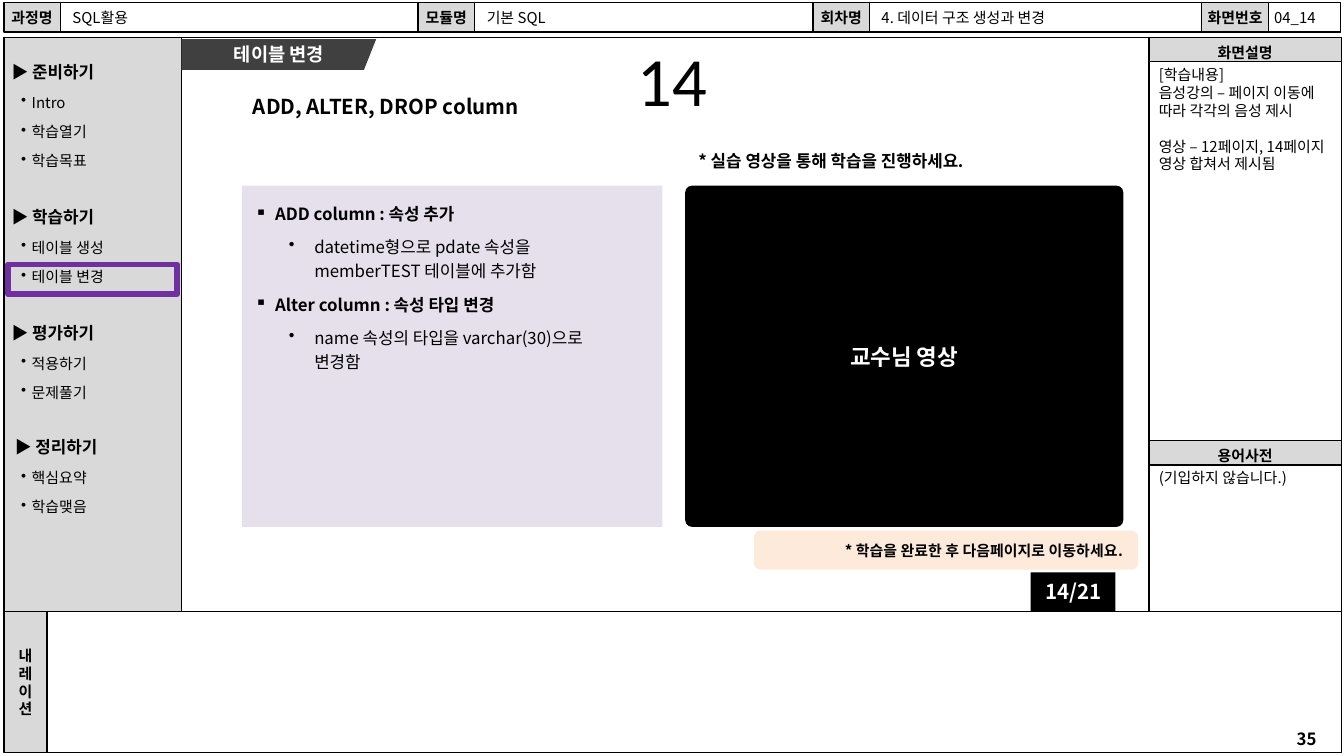
from dataclasses import dataclass

from lxml import etree
from pptx import Presentation
from pptx.dml.color import RGBColor
from pptx.enum.shapes import MSO_SHAPE
from pptx.enum.text import MSO_ANCHOR, PP_ALIGN
from pptx.oxml.ns import qn
from pptx.util import Cm, Pt

RECT, ROUND = MSO_SHAPE.RECTANGLE, MSO_SHAPE.ROUNDED_RECTANGLE
TOP, MIDDLE = MSO_ANCHOR.TOP, MSO_ANCHOR.MIDDLE
LEFT, CENTER, RIGHT = PP_ALIGN.LEFT, PP_ALIGN.CENTER, PP_ALIGN.RIGHT


@dataclass(frozen=True)
class Theme:
    font: str = "Noto Sans CJK KR"
    tab_font: str = "Cambria"
    num_font: str = "Calibri"
    black: str = "000000"
    white: str = "FFFFFF"
    grey: str = "D9D9D9"
    dark: str = "404040"
    purple: str = "7030A0"
    lilac: str = "E6E0EC"
    peach: str = "FDEADA"
    small: int = 8
    body: int = 9
    tab: int = 10
    head: int = 11
    video: int = 12
    huge: int = 37


class Board:
    def __init__(self, slide, theme):
        self.slide, self.theme = slide, theme

    def paint(self, shape, fill, line=None, width=0.75):
        shape.shadow.inherit = False
        if fill:
            shape.fill.solid()
            shape.fill.fore_color.rgb = RGBColor.from_string(fill)
        else:
            shape.fill.background()
        if line:
            shape.line.color.rgb = RGBColor.from_string(line)
            shape.line.width = Pt(width)
        else:
            shape.line.fill.background()

    def letter(self, shape, lines, size=None, bold=False, color=None, font=None,
               align=LEFT, anchor=TOP, pad=(0.25, 0.13), wrap=True, gaps=(),
               space=None, bullet=None, indent=0):
        frame = shape.text_frame
        frame.word_wrap, frame.vertical_anchor = wrap, anchor
        frame.margin_left = frame.margin_right = Cm(pad[0])
        frame.margin_top = frame.margin_bottom = Cm(pad[1])
        for i, line in enumerate(lines):
            para = frame.paragraphs[0] if i == 0 else frame.add_paragraph()
            para.text, para.alignment = line, align
            if space:
                para.line_spacing = space
            if i and gaps:
                para.space_before = Pt(gaps[i - 1])
            if bullet:
                props = para._p.get_or_add_pPr()
                props.set("marL", str(Cm(indent)))
                props.set("indent", str(-Cm(indent)))
                etree.SubElement(props, qn("a:buChar")).set("char", bullet)
            para.font.size = Pt(size or self.theme.small)
            para.font.bold = bold
            para.font.color.rgb = RGBColor.from_string(color or self.theme.black)
            para.font.name = font or self.theme.font
            base = para._p.pPr.find(qn("a:defRPr"))
            etree.SubElement(base, qn("a:ea")).set("typeface", self.theme.font)

    def box(self, x, y, w, h, fill, line=None, width=0.75, kind=RECT, round=None):
        shape = self.slide.shapes.add_shape(kind, Cm(x), Cm(y), Cm(w), Cm(h))
        if round is not None:
            shape.adjustments[0] = round
        self.paint(shape, fill, line, width)
        return shape

    def frame(self, x, y, w, h, fill):
        return self.box(x, y, w, h, fill, self.theme.black)

    def label(self, x, y, w, h, lines, **style):
        shape = self.frame(x, y, w, h, self.theme.grey)
        self.letter(shape, lines, bold=True, align=CENTER, anchor=MIDDLE,
                    wrap=False, **style)

    def text(self, x, y, w, h, lines, **style):
        shape = self.slide.shapes.add_textbox(Cm(x), Cm(y), Cm(w), Cm(h))
        self.letter(shape, lines, **style)

    def outline(self, points, fill):
        first, *rest = [(Cm(x), Cm(y)) for x, y in points]
        trace = self.slide.shapes.build_freeform(*first)
        trace.add_line_segments(rest, close=True)
        shape = trace.convert_to_shape()
        self.paint(shape, fill)
        return shape


def main():
    deck = Presentation()
    deck.slide_width, deck.slide_height = Cm(25.4), Cm(14.29)
    t = Theme()
    b = Board(deck.slides.add_slide(deck.slide_layouts[6]), t)

    # Page frames
    b.frame(0.08, 0.71, 21.64, 10.85, t.white)
    b.frame(0.08, 0.71, 3.35, 11.05, t.grey)
    b.frame(21.72, 0.81, 3.63, 10.92, t.white)
    b.frame(0.61, 11.56, 24.74, 2.67, t.white)
    b.label(0.08, 11.56, 0.81, 2.67, list("내레이션"))

    # Header row
    edges = [0.08, 1.14, 7.9, 8.97, 15.37, 16.43, 22.71, 23.98, 25.34]
    cells = ["과정명", "SQL활용", "모듈명", "기본 SQL", "회차명",
             "4. 데이터 구조 생성과 변경", "화면번호", "04_14"]
    for i, (cell, x, end) in enumerate(zip(cells, edges, edges[1:])):
        if i % 2 == 0:
            b.label(x, 0.05, end - x, 0.56, [cell])
        else:
            pad = 0.1 if cell == cells[-1] else 0.23
            b.letter(b.frame(x, 0.05, end - x, 0.56, t.white), [cell],
                     anchor=MIDDLE, pad=(pad, 0.1))

    # Side menu
    menu = [
        (-0.03, 1.04, "준비하기", ["Intro", "학습열기", "학습목표"]),
        (-0.03, 3.78, "학습하기", ["테이블 생성", "테이블 변경"]),
        (-0.03, 5.97, "평가하기", ["적용하기", "문제풀기"]),
        (0.03, 8.13, "정리하기", ["핵심요약", "학습맺음"]),
    ]
    for x, y, title, items in menu:
        b.text(x, y, 2.9, 0.63, ["▶ " + title], size=t.body, bold=True)
        b.text(0.15, y + 0.73, 3.28, 0.53 * len(items), items, pad=(0.25, 0),
               gaps=[6] * len(items), bullet="•", indent=0.2)
    b.box(0.15, 5, 3.2, 0.56, None, t.purple, 3)

    # Right panels
    notes = ["[학습내용]", "음성강의 – 페이지 이동에 따라 각각의 음성 제시",
             "영상 – 12페이지, 14페이지 영상 합쳐서 제시됨"]
    panels = [(0.71, 7.21, "화면설명", notes),
              (8.33, 2.82, "용어사전", ["(기입하지 않습니다.)"])]
    for y, h, title, lines in panels:
        b.label(21.72, y, 3.63, 0.46, [title], space=1.3)
        b.text(21.67, y + 0.43, 3.73, h, lines, pad=(0.23, 0.1), gaps=(0, 9.6))

    # Title tab and headings
    tab = b.outline([(3.43, 0.74), (7.11, 0.74), (6.88, 1.32), (3.43, 1.32)], t.dark)
    b.letter(tab, ["테이블 변경"], size=t.tab, bold=True, color=t.white,
             font=t.tab_font, align=CENTER, anchor=MIDDLE)
    b.text(4.42, 1.6, 6.5, 0.81, ["ADD, ALTER, DROP column"], size=t.head,
           bold=True, pad=(0.36, 0.18))
    b.text(1.27, 0.58, 22.86, 2.39, ["14"], size=t.huge, font=t.num_font,
           align=CENTER)

    # Lesson points
    b.box(4.57, 3.51, 7.95, 6.45, t.lilac)
    points = [
        (3.73, 6.98, "ADD column : 속성 추가",
         "datetime형으로 pdate 속성을 memberTEST 테이블에 추가함"),
        (5.44, 6.3, "Alter column : 속성 타입 변경",
         "name 속성의 타입을 varchar(30)으로 변경함"),
    ]
    for y, w, head, detail in points:
        b.text(4.57, y, 7.72, 0.63, [head], size=t.body, bold=True,
               bullet="▪", indent=0.38)
        b.text(5.21, y + 0.54, w, 1.15, [detail], size=t.body, space=1.2,
               bullet="•", indent=0.48)

    # Video
    b.text(12.95, 2.72, 8.28, 0.63, ["* 실습 영상을 통해 학습을 진행하세요."],
           size=t.body, bold=True)
    video = b.box(12.95, 3.51, 8.28, 6.45, t.black, kind=ROUND, round=0.02)
    b.letter(video, ["교수님 영상"], size=t.video, bold=True, color=t.white,
             align=CENTER, anchor=MIDDLE)

    # Footer
    hint = b.box(14.25, 10.03, 7.26, 0.74, t.peach, kind=ROUND)
    b.letter(hint, ["* 학습을 완료한 후 다음페이지로 이동하세요."], bold=True,
             align=RIGHT, anchor=MIDDLE)
    page = b.box(19.48, 10.82, 1.6, 0.74, t.black)
    b.letter(page, ["14/21"], size=t.head, bold=True, color=t.white,
             align=RIGHT, wrap=False)
    b.text(24.1, 13.64, 1.19, 0.63, ["35"], size=t.body, bold=True, align=CENTER)

    deck.save("out.pptx")


if __name__ == "__main__":
    main()
